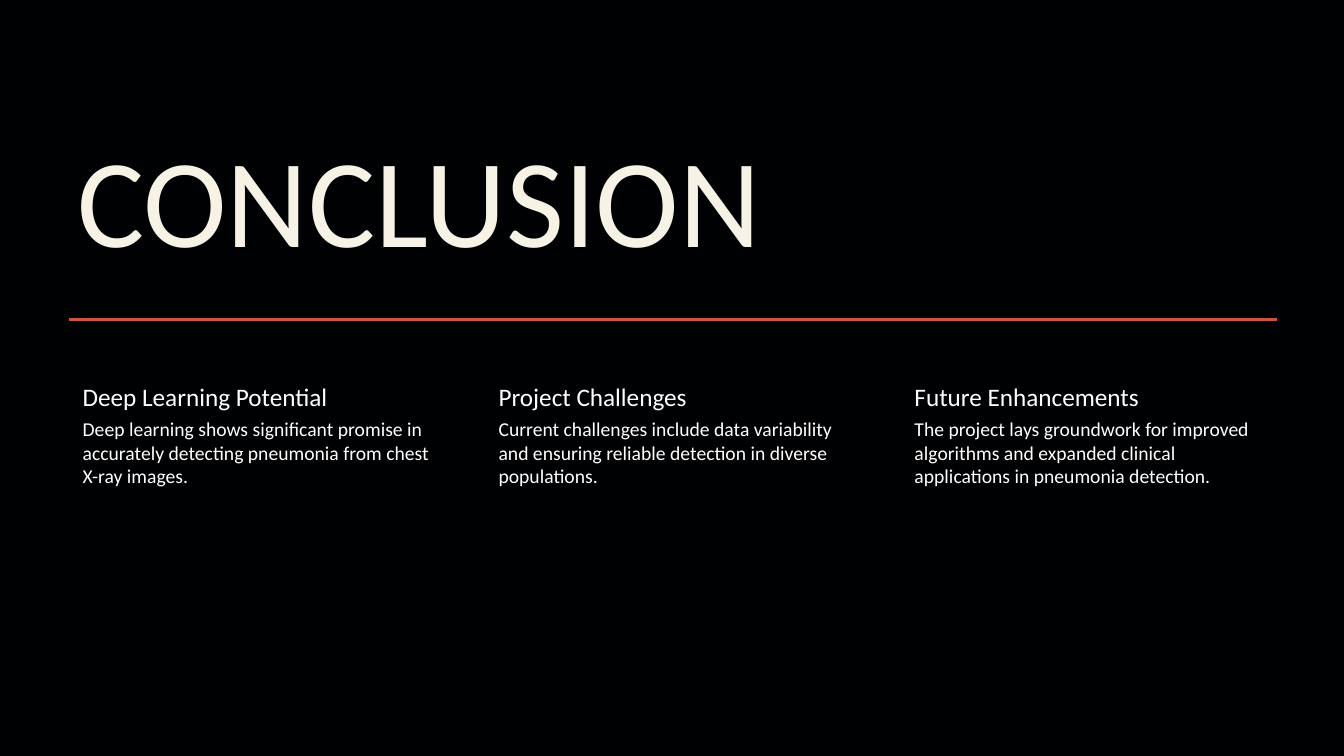
import pptx
import pptx.dml.color
import pptx.enum.shapes
import pptx.enum.text
import pptx.oxml
import pptx.util
from pptx.util import Inches

BLACK = pptx.dml.color.RGBColor(0x00, 0x01, 0x02)
CREAM = pptx.dml.color.RGBColor(0xF6, 0xF2, 0xE6)
WHITE = pptx.dml.color.RGBColor(0xFF, 0xFF, 0xFF)
ORANGE = pptx.dml.color.RGBColor(0xCC, 0x56, 0x3B)

LEFT = 0.67
COLUMN_WIDTH = 3.75
COLUMN_STEP = 4.125
HEADING_TOP = 3.75
HEADING_HEIGHT = 0.37

COLUMNS = [
    ("Deep Learning Potential",
     "Deep learning shows significant promise in accurately detecting "
     "pneumonia from chest X-ray images."),
    ("Project Challenges",
     "Current challenges include data variability and ensuring reliable "
     "detection in diverse populations."),
    ("Future Enhancements",
     "The project lays groundwork for improved algorithms and expanded "
     "clinical applications in pneumonia detection."),
]


def add_text(slide, text, *, left, top, width, height, size, color=WHITE,
             insets=(0.1, 0.05), line_spacing=1.0,
             anchor=pptx.enum.text.MSO_ANCHOR.TOP):
    """Add a one-paragraph box; insets are the left one and the other three."""
    box = slide.shapes.add_textbox(
        Inches(left), Inches(top), Inches(width), Inches(height))
    frame = box.text_frame
    frame.word_wrap = True
    frame.vertical_anchor = anchor
    frame.margin_left = Inches(insets[0])
    frame.margin_top = frame.margin_right = frame.margin_bottom = Inches(insets[1])
    paragraph = frame.paragraphs[0]
    paragraph.text = text
    paragraph.line_spacing = line_spacing
    paragraph.font.name = "Calibri"
    paragraph.font.size = pptx.util.Pt(size)
    paragraph.font.color.rgb = color


presentation = pptx.Presentation()
presentation.slide_width = Inches(13.33)
presentation.slide_height = Inches(7.5)
slide = presentation.slides.add_slide(presentation.slide_layouts[6])
slide.background.fill.solid()
slide.background.fill.fore_color.rgb = BLACK

divider = slide.shapes.add_connector(
    pptx.enum.shapes.MSO_CONNECTOR.STRAIGHT,
    Inches(0.68), Inches(3.17), Inches(12.67), Inches(3.17))
divider.line.color.rgb = ORANGE
divider.line.width = pptx.util.Pt(2.5)
divider.element.spPr.append(pptx.oxml.parse_xml(
    '<a:effectLst xmlns:a="http://schemas.openxmlformats.org/drawingml/2006/main"/>'))

add_text(slide, "CONCLUSION", left=LEFT, top=0.75, width=12, height=2,
         size=90, color=CREAM, line_spacing=0.8,
         anchor=pptx.enum.text.MSO_ANCHOR.BOTTOM)

for index, (heading, body) in enumerate(COLUMNS):
    left = LEFT + index * COLUMN_STEP
    add_text(slide, heading, left=left, top=HEADING_TOP, width=COLUMN_WIDTH,
             height=HEADING_HEIGHT, size=18, insets=(0.15, 0.03))
    add_text(slide, body, left=left, top=HEADING_TOP + HEADING_HEIGHT,
             width=COLUMN_WIDTH, height=2.56, size=14, insets=(0.15, 0.02))

presentation.save("out.pptx")
